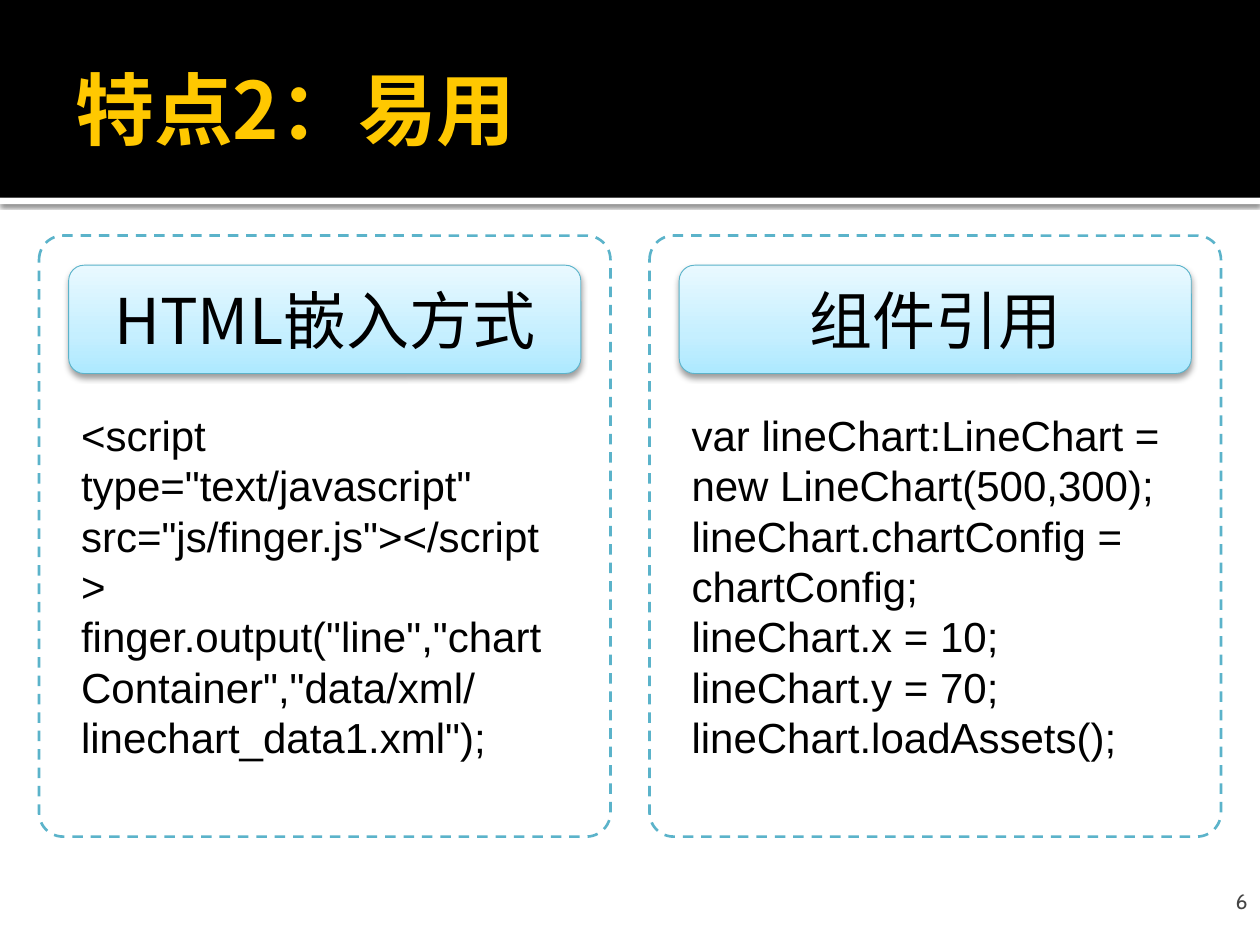
from dataclasses import dataclass

from lxml.etree import SubElement
from pptx import Presentation
from pptx.dml.color import RGBColor
from pptx.enum.dml import MSO_LINE
from pptx.enum.shapes import MSO_SHAPE as SHAPE
from pptx.enum.text import MSO_ANCHOR as ANCHOR, PP_ALIGN as ALIGN
from pptx.oxml.ns import qn
from pptx.util import Emu, Inches, Pt


@dataclass(frozen=True)
class Theme:
    black: str = "000000"
    white: str = "FFFFFF"
    gold: str = "FFC800"
    grey: str = "454545"
    teal: str = "5BB3CA"
    gradient: tuple = ((0, "ADE9FF"), (35, "C5EFFF"), (100, "E9F9FF"))
    cjk: str = "Noto Sans CJK SC"
    code: str = "Arial"
    number: str = "Cabin"
    title_size: int = 45
    heading_size: int = 36
    code_size: int = 24
    number_size: int = 12


T = Theme()
PANELS = (
    ("HTML嵌入方式", (
        '<script type="text/javascript" src="js/finger.js"></script>',
        'finger.output("line","chartContainer","data/xml/linechart_data1.xml");',
    )),
    ("组件引用", (
        "\n".join((
            "var lineChart:LineChart = new LineChart(500,300);",
            "lineChart.chartConfig = chartConfig;",
            "lineChart.x = 10;",
            "lineChart.y = 70;",
            "lineChart.loadAssets();",
        )),
    )),
)


def rgb(value):
    return RGBColor.from_string(value)


def inset(box, left, top, width, height):
    """Place a part, in inches, relative to the corner of a box."""
    return box[0] + left, box[1] + top, width, height


def add_box(s, box, kind=SHAPE.RECTANGLE, fill=None, line=None, width=1, corner=None):
    sp = s.shapes.add_shape(kind, *map(Inches, box))
    sp.shadow.inherit = False
    if corner is not None:
        sp.adjustments[0] = corner
    if fill:
        sp.fill.solid()
        sp.fill.fore_color.rgb = rgb(fill)
    else:
        sp.fill.background()
    if line:
        sp.line.color.rgb = rgb(line)
        sp.line.width = Pt(width)
    else:
        sp.line.fill.background()
    return sp


def add_shadow(sp, blur, distance, alpha):
    """Cast a black shadow straight down; lengths in points, alpha in percent."""
    effects = sp._element.spPr.find(qn("a:effectLst"))
    shadow = SubElement(effects, qn("a:outerShdw"), blurRad=str(Pt(blur)),
                        dist=str(Pt(distance)), dir="5400000", rotWithShape="0")
    color = SubElement(shadow, qn("a:srgbClr"), val=T.black)
    SubElement(color, qn("a:alpha"), val=str(alpha * 1000))


def fill_gradient(sp):
    sp.fill.gradient()
    sp.fill.gradient_angle = 90
    stops = sp._element.spPr.find(".//" + qn("a:gsLst"))
    stops.clear()
    for position, color in T.gradient:
        stop = SubElement(stops, qn("a:gs"), pos=str(position * 1000))
        SubElement(stop, qn("a:srgbClr"), val=color)


def write(sp, paragraphs, font, size, color, bold=False, align=ALIGN.LEFT,
          anchor=ANCHOR.TOP, margins=(0.1, 0.05, 0.1, 0.05)):
    tf = sp.text_frame
    sides = ("margin_left", "margin_top", "margin_right", "margin_bottom")
    frame = dict(zip(sides, map(Inches, margins)))
    frame.update(word_wrap=True, vertical_anchor=anchor)
    for name, value in frame.items():
        setattr(tf, name, value)
    for i, text in enumerate(paragraphs):
        p = tf.add_paragraph() if i else tf.paragraphs[0]
        p.text = text
        p.alignment = align
        for r in p.runs:
            for name, value in dict(name=font, size=Pt(size), bold=bold).items():
                setattr(r.font, name, value)
            r.font.color.rgb = rgb(color)
            SubElement(r._r.get_or_add_rPr(), qn("a:ea"), typeface=font)


def add_text(s, box, paragraphs, *style, **layout):
    write(s.shapes.add_textbox(*map(Inches, box)), paragraphs, *style, **layout)


def add_header(s, box, title):
    left, top, width, height = box
    rule = add_box(s, (left, top + height, width, 0.05), fill=T.white)
    add_shadow(rule, 2.5, 0.8, 60)
    add_box(s, box, fill=T.black)
    add_text(s, inset(box, 0.5, 0.17, width - 1, 1.37), [title],
             T.cjk, T.title_size, T.gold, bold=True, anchor=ANCHOR.MIDDLE,
             margins=(0.1, 0.05, 0.05, 0.05))


def add_panel(s, box, heading, code):
    frame = add_box(s, box, SHAPE.ROUNDED_RECTANGLE, line=T.teal, width=1.5, corner=0.042)
    frame.line.dash_style = MSO_LINE.DASH
    pad = 0.235
    label = add_box(s, inset(box, pad, pad, box[2] - 2 * pad, 0.86),
                    SHAPE.ROUNDED_RECTANGLE, line=T.teal, width=0.5, corner=0.142)
    fill_gradient(label)
    add_shadow(label, 3.5, 2, 38)
    write(label, [heading], T.cjk, T.heading_size, T.black,
          align=ALIGN.CENTER, anchor=ANCHOR.MIDDLE)
    add_text(s, inset(box, pad, 1.33, 3.98, 2.93), code, T.code, T.code_size, T.black)


def add_page_number(s, box, number):
    add_text(s, box, [number], T.number, T.number_size, T.grey, align=ALIGN.RIGHT,
             anchor=ANCHOR.BOTTOM, margins=(0.1, 0.05, 0.1, 0))


def main():
    prs = Presentation()
    prs.slide_width, prs.slide_height = Inches(10), Inches(7.5)
    width, height = Emu(prs.slide_width).inches, Emu(prs.slide_height).inches
    s = prs.slides.add_slide(prs.slide_layouts[6])
    add_header(s, (0, 0, width, 1.57), "特点2：易用")
    add_page_number(s, (width - 0.55, height - 0.55, 0.55, 0.3), "6")
    margin = gap = 0.31
    column = (width - 2 * margin - gap) / len(PANELS)
    for i, (heading, code) in enumerate(PANELS):
        left = margin + i * (column + gap)
        add_panel(s, (left, 1.87, column, 4.77), heading, code)
    prs.save("out.pptx")


if __name__ == "__main__":
    main()
